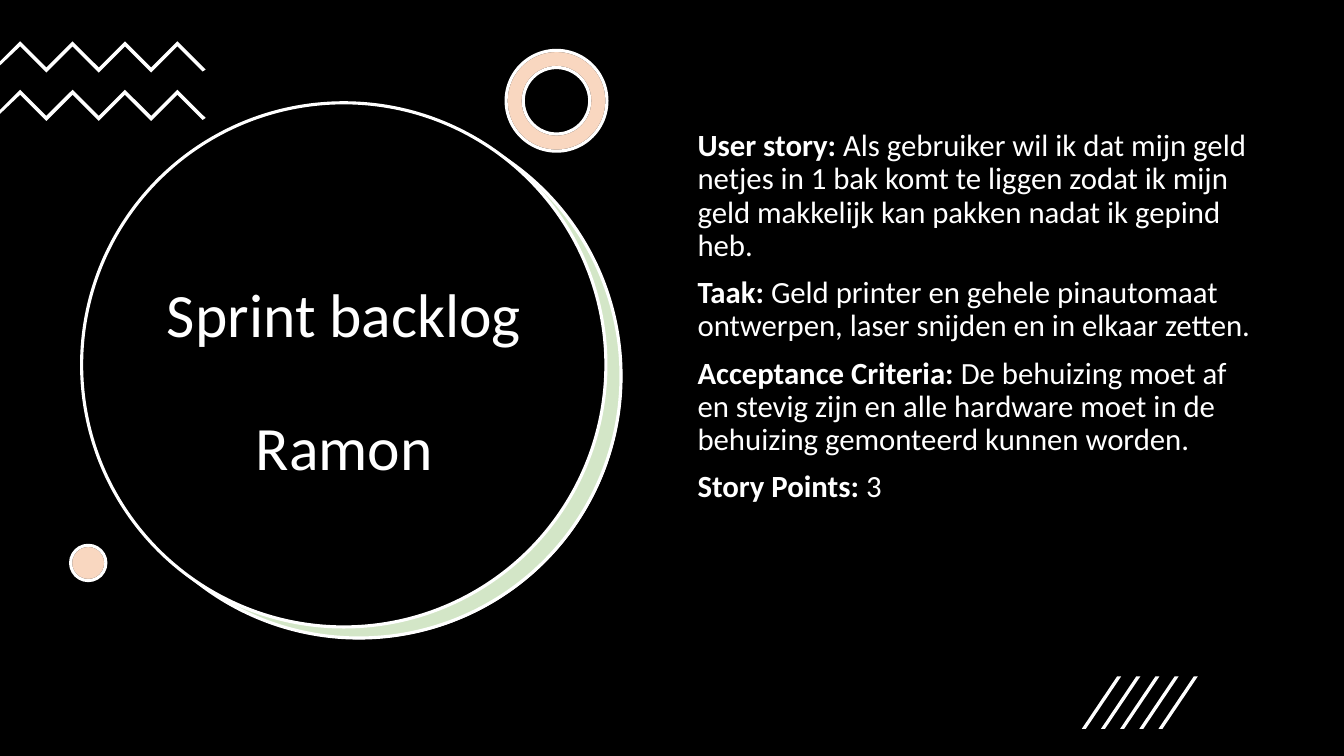
from lxml.etree import SubElement
from pptx import Presentation
from pptx.dml.color import RGBColor
from pptx.enum.shapes import MSO_SHAPE as SHAPE
from pptx.enum.text import MSO_ANCHOR as ANCHOR, PP_ALIGN as ALIGN
from pptx.oxml.ns import qn
from pptx.util import Inches, Pt

BLACK = RGBColor(0x00, 0x00, 0x00)
WHITE = RGBColor(0xFF, 0xFF, 0xFF)
GREEN = RGBColor(0x70, 0xAD, 0x47)
ORANGE = RGBColor(0xED, 0x7D, 0x31)

USER_STORY = [
    ("User story: ", "Als gebruiker wil ik dat mijn geld netjes in 1 bak komt te liggen "
                     "zodat ik mijn geld makkelijk kan pakken nadat ik gepind heb."),
    ("Taak: ", "Geld printer en gehele pinautomaat ontwerpen, laser snijden en in elkaar zetten."),
    ("Acceptance Criteria: ", "De behuizing moet af en stevig zijn en alle hardware moet "
                              "in de behuizing gemonteerd kunnen worden."),
    ("Story Points: ", "3"),
]

prs = Presentation()
prs.slide_width, prs.slide_height = Inches(13.33), Inches(7.5)
slide = prs.slides.add_slide(prs.slide_layouts[6])
shapes = slide.shapes

backdrop = shapes.add_shape(SHAPE.RECTANGLE, 0, 0, prs.slide_width, prs.slide_height)


def paint(shape, fill, line=None, opacity=None):
    """Set fill and outline; opacity is a percentage of the fill."""
    shape.shadow.inherit = False
    shape.fill.solid()
    shape.fill.fore_color.rgb = fill
    if opacity:
        color = shape.fill._xPr.find(qn("a:solidFill"))[0]
        SubElement(color, qn("a:alpha"), val=str(opacity * 1000))
    if line is None:
        shape.line.fill.background()
    else:
        shape.line.color.rgb = line
        shape.line.width = Pt(2.25)


def draw_polygon(points):
    corners = [(Inches(x), Inches(y)) for x, y in points]
    builder = shapes.build_freeform(*corners[0])
    builder.add_line_segments(corners[1:], close=True)
    paint(builder.convert_to_shape(), WHITE)


paint(backdrop, BLACK)

# Circles behind the title: left, top, fill, line, opacity
for left, top, fill, line, opacity in (
    (0.97, 1.14, WHITE, None, None),
    (0.96, 1.13, GREEN, WHITE, 30),
    (0.81, 1.02, BLACK, WHITE, None),
):
    circle = shapes.add_shape(SHAPE.OVAL, Inches(left), Inches(top), Inches(5.2), Inches(5.2))
    paint(circle, fill, line, opacity)

title = shapes.add_textbox(Inches(1.21), Inches(2.05), Inches(4.41), Inches(3.52)).text_frame
title.word_wrap = True
title.vertical_anchor = ANCHOR.MIDDLE
title.text = "Sprint backlog\nRamon"
title.paragraphs[1].space_before = Pt(48)
for paragraph in title.paragraphs:
    paragraph.alignment = ALIGN.CENTER
    paragraph.font.size = Pt(44)

# Zigzag bands
for top in (0.41, 0.89):
    upper = [(0.2 + 0.26 * i, top + 0.26 * (i % 2)) for i in range(7)]
    lower = [(x, y + 0.05) for x, y in reversed(upper)]
    draw_polygon([(0, top + 0.2), *upper, (2.04, top + 0.28),
                  (2.01, top + 0.3), *lower, (0, top + 0.24)])

# Ring and dot, each a white base under an orange tint
for kind, left, top, size in ((SHAPE.DONUT, 5.02, 0.5, 1), (SHAPE.OVAL, 0.7, 5.41, 0.35)):
    for fill, line, opacity in ((WHITE, BLACK, None), (ORANGE, WHITE, 30)):
        accent = shapes.add_shape(kind, Inches(left), Inches(top), Inches(size), Inches(size))
        if kind == SHAPE.DONUT:
            accent.adjustments[0] = 0.17
        paint(accent, fill, line, opacity)

story = shapes.add_textbox(Inches(6.82), Inches(1.24), Inches(5.71), Inches(4.76)).text_frame
story.word_wrap = True
for i, (label, description) in enumerate(USER_STORY):
    paragraph = story.add_paragraph() if i else story.paragraphs[0]
    if i:
        paragraph.space_before = Pt(10)
    for text, bold in ((label, True), (description, False)):
        run = paragraph.add_run()
        run.text = text
        run.font.bold = bold
    paragraph.font.size = Pt(22)

for paragraph in (*title.paragraphs, *story.paragraphs):
    paragraph.line_spacing = 0.9
    paragraph.font.name = "Calibri"
    paragraph.font.color.rgb = WHITE

# Slanted stripes
for i in range(5):
    left = 10.73 + 0.19 * i
    draw_polygon([(left + 0.04, 7.23), (left, 7.23), (left + 0.35, 6.71), (left + 0.39, 6.71)])

prs.save("out.pptx")
